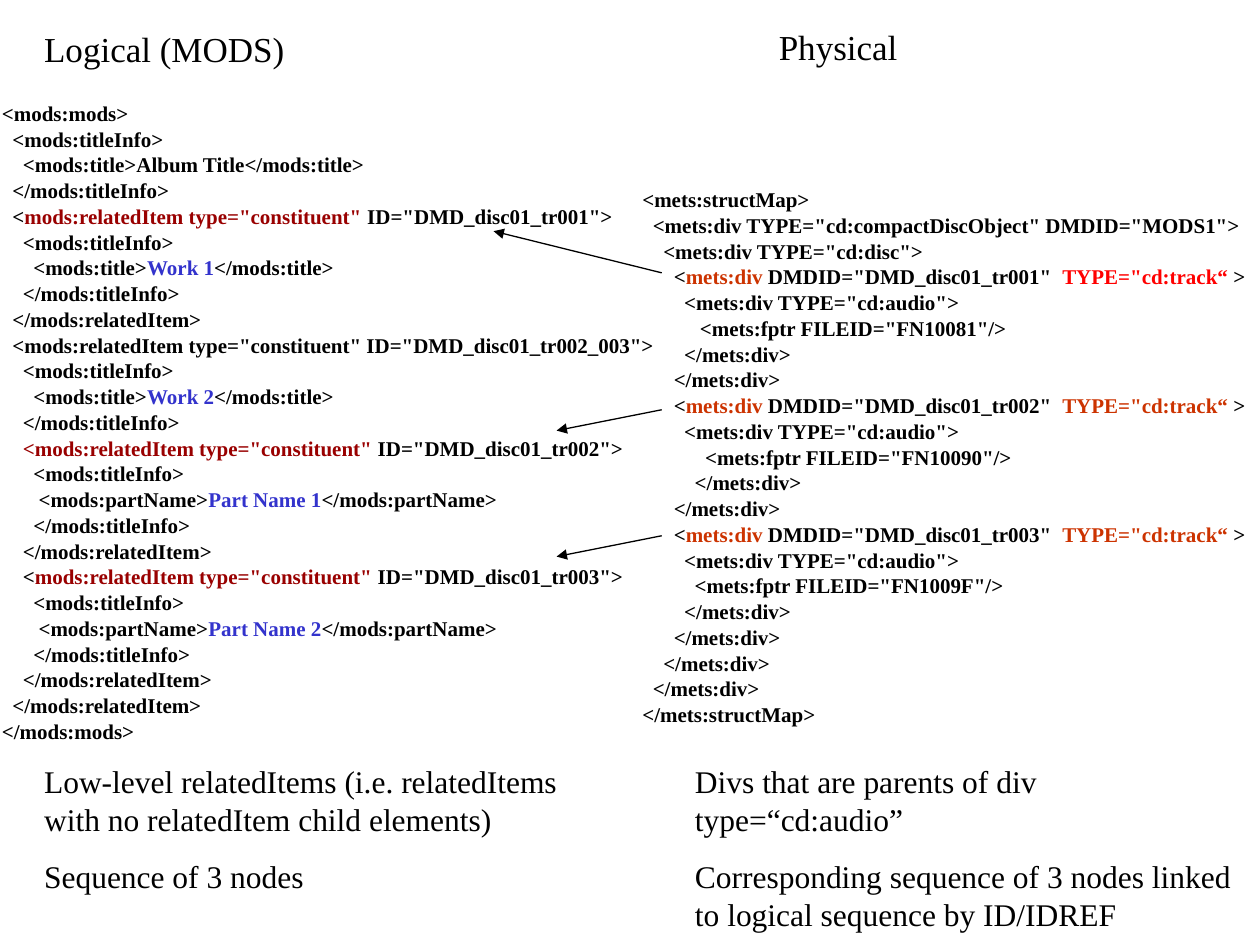
import dataclasses

import pptx
import pptx.dml.color
import pptx.enum.shapes
import pptx.enum.text
import pptx.oxml
import pptx.oxml.ns
import pptx.util

Cm, Pt = pptx.util.Cm, pptx.util.Pt


@dataclasses.dataclass(frozen=True)
class Theme:
    font: str = "Times New Roman"
    head: int = 20
    note: int = 18
    code: int = 12
    gap: float = 0.625  # space before, as a share of the type size
    ink: str = "000000"
    item: str = "990000"
    name: str = "3333CC"
    div: str = "CC3300"
    hot: str = "FF0000"


class Deck:
    def __init__(self, theme):
        self.theme = theme
        self.file = pptx.Presentation()
        self.file.slide_width, self.file.slide_height = Cm(25.4), Cm(19.05)
        self.slide = self.file.slides.add_slide(self.file.slide_layouts[6])

    def tint(self, hue):
        return pptx.dml.color.RGBColor.from_string(hue)

    def text(self, box, lines, size, bold=False, lead=None):
        """Each line is a list of plain strings and (string, colour) pairs."""
        frame = self.slide.shapes.add_textbox(*map(Cm, box)).text_frame
        frame.word_wrap = True
        frame.auto_size = pptx.enum.text.MSO_AUTO_SIZE.SHAPE_TO_FIT_TEXT
        for i, line in enumerate(lines):
            para = frame.paragraphs[0] if i == 0 else frame.add_paragraph()
            if i:
                para.space_before = Pt(size * self.theme.gap)
            if lead:
                para.line_spacing = lead
            font = para.font
            font.name, font.size, font.bold = self.theme.font, Pt(size), bold
            font.color.rgb = self.tint(self.theme.ink)
            for part in line:
                run = para.add_run()
                if isinstance(part, tuple):
                    run.text, hue = part
                    run.font.color.rgb = self.tint(hue)
                else:
                    run.text = part

    def head(self, box, words):
        self.text(box, [[words]], self.theme.head)

    def note(self, box, *items):
        self.text(box, [[item] for item in items], self.theme.note)

    def code(self, box, lines):
        self.text(box, lines, self.theme.code, bold=True, lead=0.5)

    def arrow(self, *ends):
        kind = pptx.enum.shapes.MSO_CONNECTOR.STRAIGHT
        wire = self.slide.shapes.add_connector(kind, *map(Cm, ends))
        wire.line.width = Pt(0.75)
        wire.line.color.rgb = self.tint(self.theme.ink)
        space = pptx.oxml.ns.nsdecls("a")
        tip = pptx.oxml.parse_xml(f'<a:tailEnd {space} type="triangle"/>')
        wire.line._get_or_add_ln().append(tip)
        wire._element.spPr.append(pptx.oxml.parse_xml(f"<a:effectLst {space}/>"))


# Code lines
def pad(depth, words):
    return [" " * depth + words]


def info(depth, tag, words, hue, inset=2):
    """A titleInfo element around one coloured value."""
    return [
        pad(depth, "<mods:titleInfo>"),
        [" " * (depth + inset) + f"<mods:{tag}>", (words, hue), f"</mods:{tag}>"],
        pad(depth, "</mods:titleInfo>"),
    ]


def item(depth, key, hue, whole=False):
    mark = 'mods:relatedItem type="constituent"'
    lead = " " * depth
    start = [lead, ("<" + mark, hue)] if whole else [lead + "<", (mark, hue)]
    return start + [f' ID="DMD_disc01_{key}">']


def track(key, file, hue, div, inset, close):
    return [
        ["      <", ("mets:div", div), f' DMDID="DMD_disc01_{key}"  ',
         ('TYPE="cd:track“', hue), " >"],
        pad(8, '<mets:div TYPE="cd:audio">'),
        pad(inset, f'<mets:fptr FILEID="{file}"/>'),
        pad(close, "</mets:div>"),
        pad(6, "</mets:div>"),
    ]


def logic(t):
    end = "</mods:relatedItem>"
    return [
        ["<mods:mods>"],
        *info(2, "title", "Album Title", t.ink),
        item(2, "tr001", t.item),
        *info(4, "title", "Work 1", t.name),
        pad(2, end),
        item(2, "tr002_003", t.ink),
        *info(4, "title", "Work 2", t.name),
        item(4, "tr002", t.item, whole=True),
        *info(6, "partName", "Part Name 1", t.name, 1),
        pad(4, end),
        item(4, "tr003", t.item),
        *info(6, "partName", "Part Name 2", t.name, 1),
        pad(4, end),
        pad(2, end),
        ["</mods:mods>"],
    ]


def discs(t):
    return [
        ["<mets:structMap>"],
        pad(2, '<mets:div TYPE="cd:compactDiscObject" DMDID="MODS1">'),
        pad(4, '<mets:div TYPE="cd:disc">'),
        *track("tr001", "FN10081", t.hot, t.div, 11, 8),
        *track("tr002", "FN10090", t.div, t.div, 12, 10),
        *track("tr003", "FN1009F", t.div, t.div, 10, 8),
        pad(4, "</mets:div>"),
        pad(2, "</mets:div>"),
        ["</mets:structMap>"],
    ]


def main():
    theme = Theme()
    deck = Deck(theme)

    # Logical and physical code
    deck.code((-0.21, 2.12, 13.97, 12.98), logic(theme))
    deck.code((12.7, 3.86, 12.7, 10.9), discs(theme))

    # Headings
    deck.head((0.64, 0.42, 8.68, 1.11), "Logical (MODS)")
    deck.head((15.45, 0.38, 6.77, 1.11), "Physical")

    # Arrows from each track to its item
    deck.arrow(13.34, 5.5, 9.95, 4.66)
    for top in (8.26, 10.8):
        deck.arrow(13.34, top, 11.22, top + 0.42)

    # Notes
    deck.note((0.64, 15.24, 11.43, 2.95),
              "Low-level relatedItems (i.e. relatedItems with no relatedItem child elements)",
              "Sequence of 3 nodes")
    deck.note((13.76, 15.24, 11.64, 3.7),
              "Divs that are parents of div type=“cd:audio”",
              "Corresponding sequence of 3 nodes linked to logical sequence by ID/IDREF")

    deck.file.save("out.pptx")


if __name__ == "__main__":
    main()
